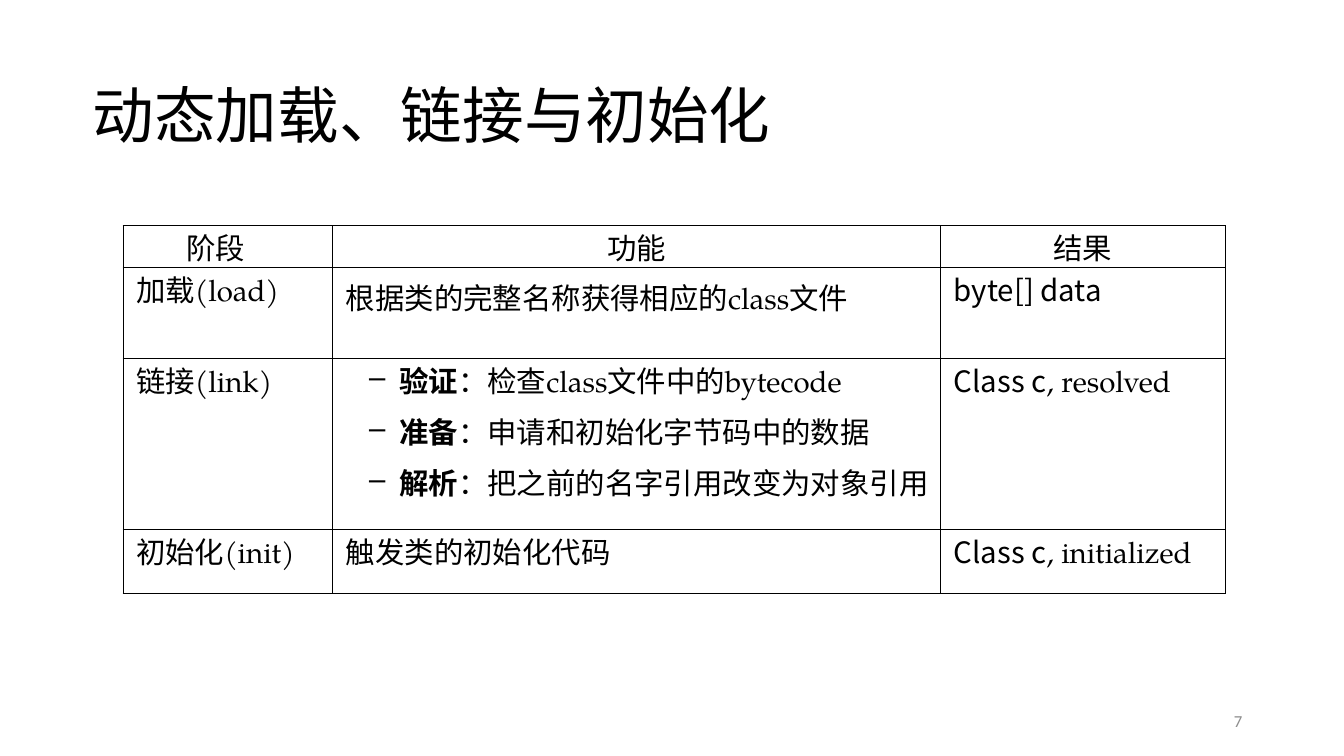
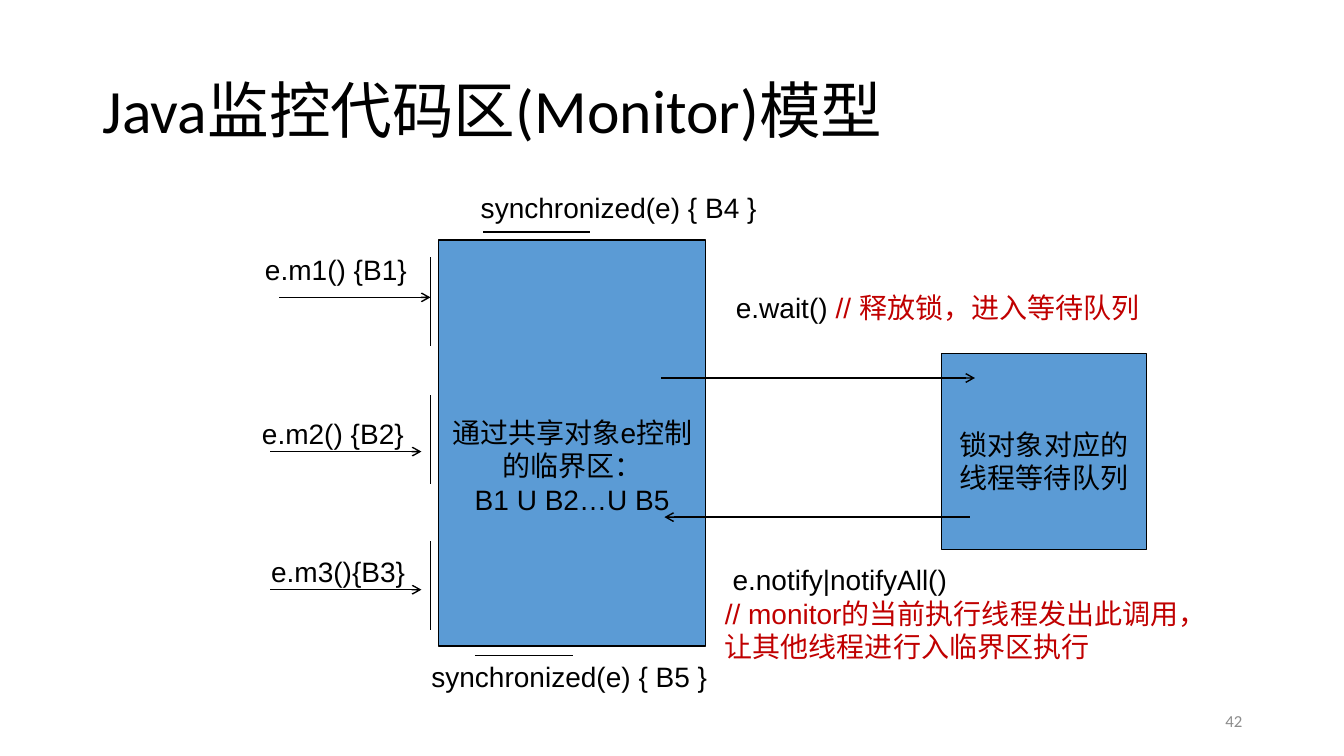
from dataclasses import dataclass

from lxml.etree import SubElement
from pptx import Presentation
from pptx.dml.color import RGBColor
from pptx.enum.shapes import MSO_CONNECTOR, MSO_SHAPE
from pptx.enum.text import MSO_ANCHOR, MSO_AUTO_SIZE, PP_ALIGN
from pptx.oxml.ns import qn
from pptx.presentation import Presentation as Deck
from pptx.slide import Slide
from pptx.table import _Cell as Cell
from pptx.text.text import TextFrame, _Paragraph as TextParagraph
from pptx.util import Inches, Pt


@dataclass(frozen=True)
class Theme:
    ink: RGBColor = RGBColor(0, 0, 0)
    accent: RGBColor = RGBColor(0xC0, 0, 0)
    muted: RGBColor = RGBColor(0x8C, 0x8C, 0x8C)
    box: RGBColor = RGBColor(0x5B, 0x9B, 0xD5)
    heading_font: str = "Calibri"
    diagram_font: str = "Arial"
    table_font: str = "TeX Gyre Pagella"
    code_font: str = "Noto Sans CJK JP"
    title_size: float = 44
    table_size: float = 21
    diagram_size: float = 20
    number_size: float = 12
    line_width: float = 1
    border_width: float = 0.7


THEME = Theme()


@dataclass(frozen=True)
class Span:
    """A stretch of text with one format."""
    text: str
    font: str = THEME.diagram_font
    size: float = THEME.diagram_size
    color: RGBColor = THEME.ink
    bold: bool = False
    east_asian: str = ""


@dataclass(frozen=True)
class Line:
    """One paragraph."""
    spans: tuple[Span, ...]
    align: PP_ALIGN = PP_ALIGN.LEFT
    indent: float = 0
    spacing: float = 1
    dash: bool = False


@dataclass(frozen=True)
class Area:
    left: float
    top: float
    width: float
    height: float

    def lengths(self) -> tuple[Inches, ...]:
        return tuple(Inches(value) for value in
                     (self.left, self.top, self.width, self.height))


@dataclass(frozen=True)
class Box:
    area: Area
    text_top: float
    texts: tuple[str, ...]


@dataclass(frozen=True)
class Label:
    area: Area
    lines: tuple[Line, ...]


@dataclass(frozen=True)
class Stroke:
    start: tuple[float, float]
    end: tuple[float, float]
    arrow: bool = False


@dataclass(frozen=True)
class Entry:
    """A method that enters the monitor: label, gate and arrow."""
    text: str
    left: float
    top: float
    gate_top: float
    arrow_left: float
    arrow_y: float


TITLE_AREA = Area(0.92, 0.4, 11.5, 1.45)
NUMBER_AREA = Area(9.42, 6.95, 3, 0.4)
TABLE_AREA = Area(1.22, 2.24, 10.93, 3.65)
COLUMN_WIDTHS = (2.08, 6.03, 2.82)
ROW_HEIGHTS = (0.41, 0.91, 1.69, 0.64)
CELL_INDENT = 0.13
BULLET_INDENT = 0.66
BULLET_HANG = 0.3
GATE_X = 4.27
GATE_LENGTH = 0.88
ARROW_LENGTH = 1.5
LABEL_HEIGHT = 0.45


# Text

def write_line(paragraph: TextParagraph, line: Line) -> None:
    paragraph.alignment = line.align
    paragraph.line_spacing = line.spacing
    properties = paragraph._p.get_or_add_pPr()
    properties.set("marL", str(Inches(line.indent)))
    properties.set("indent", str(-Inches(BULLET_HANG) if line.dash else 0))
    if line.dash:
        SubElement(properties, qn("a:buChar"), char="–")
    for span in line.spans:
        run = paragraph.add_run()
        run.text = span.text
        run.font.name = span.font
        run.font.size = Pt(span.size)
        run.font.bold = span.bold
        run.font.color.rgb = span.color
        if span.east_asian:
            SubElement(run._r.get_or_add_rPr(), qn("a:ea"), typeface=span.east_asian)


def write_lines(frame: TextFrame, lines: tuple[Line, ...]) -> None:
    for index, line in enumerate(lines):
        paragraph = frame.add_paragraph() if index else frame.paragraphs[0]
        write_line(paragraph, line)


def add_label(slide: Slide, label: Label) -> TextFrame:
    frame = slide.shapes.add_textbox(*label.area.lengths()).text_frame
    frame.word_wrap = True
    write_lines(frame, label.lines)
    return frame


# Shared slide parts

def add_titled_slide(presentation: Deck, title: str, number: int,
                     inset: float, spacing: float) -> Slide:
    slide = presentation.slides.add_slide(presentation.slide_layouts[5])
    shape = slide.shapes.title
    shape.left, shape.top, shape.width, shape.height = TITLE_AREA.lengths()
    frame = shape.text_frame
    frame.auto_size = MSO_AUTO_SIZE.NONE
    frame.vertical_anchor = MSO_ANCHOR.MIDDLE
    frame.margin_left = frame.margin_right = Inches(inset)
    frame.margin_top = frame.margin_bottom = Inches(inset / 2)
    heading = Span(title, THEME.heading_font, THEME.title_size)
    write_lines(frame, (Line((heading,), spacing=spacing),))

    page = Span(str(number), THEME.heading_font, THEME.number_size, THEME.muted)
    page_frame = add_label(slide, Label(NUMBER_AREA, (Line((page,), PP_ALIGN.RIGHT),)))
    page_frame.vertical_anchor = MSO_ANCHOR.MIDDLE
    return slide


# Table

def table_span(text: str, bold: bool = False, code: bool = False) -> Span:
    font = THEME.code_font if code else THEME.table_font
    return Span(text, font, THEME.table_size, bold=bold, east_asian=THEME.code_font)


def cell_line(*spans: Span, spacing: float = 1) -> tuple[Line, ...]:
    return (Line(spans, indent=CELL_INDENT, spacing=spacing),)


def centred(text: str) -> tuple[Line, ...]:
    return (Line((table_span(text),), PP_ALIGN.CENTER),)


def step(name: str, detail: str, spacing: float = 1.2) -> Line:
    return Line((table_span(name, bold=True), table_span(detail)),
                indent=BULLET_INDENT, spacing=spacing, dash=True)


def format_cell(cell: Cell) -> None:
    cell.margin_left = cell.margin_right = cell.margin_top = cell.margin_bottom = 0
    properties = cell._tc.get_or_add_tcPr()
    for side in ("a:lnL", "a:lnR", "a:lnT", "a:lnB"):
        border = SubElement(properties, qn(side), w=str(Pt(THEME.border_width)))
        fill = SubElement(border, qn("a:solidFill"))
        SubElement(fill, qn("a:srgbClr"), val=str(THEME.ink))
    cell.fill.background()


def build_loading_slide(presentation: Deck) -> None:
    slide = add_titled_slide(presentation, "动态加载、链接与初始化", 7, inset=0, spacing=1)
    class_c = table_span("Class c", code=True)
    rows = (
        ((Line((table_span("阶段"),), indent=0.63),), centred("功能"), centred("结果")),
        (cell_line(table_span("加载(load)")),
         cell_line(table_span("根据类的完整名称获得相应的class文件"), spacing=1.2),
         cell_line(table_span("byte[] data", code=True))),
        (cell_line(table_span("链接(link)")),
         (step("验证", "：检查class文件中的bytecode", spacing=1),
          step("准备", "：申请和初始化字节码中的数据"),
          step("解析", "：把之前的名字引用改变为对象引用")),
         cell_line(class_c, table_span(", resolved"))),
        (cell_line(table_span("初始化(init)")),
         cell_line(table_span("触发类的初始化代码")),
         cell_line(class_c, table_span(", initialized"))),
    )
    table = slide.shapes.add_table(len(rows), len(COLUMN_WIDTHS),
                                   *TABLE_AREA.lengths()).table
    table.first_row = table.horz_banding = False
    for column, width in zip(table.columns, COLUMN_WIDTHS):
        column.width = Inches(width)
    for table_row, height, contents in zip(table.rows, ROW_HEIGHTS, rows):
        table_row.height = Inches(height)
        for cell, lines in zip(table_row.cells, contents):
            format_cell(cell)
            write_lines(cell.text_frame, lines)


# Diagram

def add_box(slide: Slide, box: Box) -> None:
    shape = slide.shapes.add_shape(MSO_SHAPE.RECTANGLE, *box.area.lengths())
    shape.shadow.inherit = False
    shape.fill.solid()
    shape.fill.fore_color.rgb = THEME.box
    shape.line.color.rgb = THEME.ink
    shape.line.width = Pt(THEME.line_width)
    frame = shape.text_frame
    frame.word_wrap = True
    frame.vertical_anchor = MSO_ANCHOR.TOP
    frame.margin_top = Inches(box.text_top)
    write_lines(frame, tuple(Line((Span(text),), PP_ALIGN.CENTER) for text in box.texts))


def add_stroke(slide: Slide, stroke: Stroke) -> None:
    ends = (Inches(value) for value in stroke.start + stroke.end)
    connector = slide.shapes.add_connector(MSO_CONNECTOR.STRAIGHT, *ends)
    connector.line.color.rgb = THEME.ink
    connector.line.width = Pt(THEME.line_width)
    if stroke.arrow:
        SubElement(connector.line._get_or_add_ln(), qn("a:tailEnd"), type="arrow")
    SubElement(connector._element.spPr, qn("a:effectLst"))


def add_entry(slide: Slide, entry: Entry) -> None:
    area = Area(entry.left, entry.top, 1.83, LABEL_HEIGHT)
    add_label(slide, Label(area, (Line((Span(entry.text),)),)))
    add_stroke(slide, Stroke((GATE_X, entry.gate_top), (GATE_X, entry.gate_top + GATE_LENGTH)))
    add_stroke(slide, Stroke((entry.arrow_left, entry.arrow_y),
                             (entry.arrow_left + ARROW_LENGTH, entry.arrow_y), arrow=True))


def build_monitor_slide(presentation: Deck) -> None:
    slide = add_titled_slide(presentation, "Java监控代码区(Monitor)模型", 42,
                             inset=0.1, spacing=0.9)
    boxes = (
        Box(Area(4.35, 2.38, 2.65, 4.03), 1.74,
            ("通过共享对象e控制的临界区：", "B1 U B2…U B5")),
        Box(Area(9.34, 3.51, 2.03, 1.94), 0.73, ("锁对象对应的线程等待队列",)),
    )
    entries = (
        Entry("e.m1() {B1}", 2.53, 2.46, 2.55, 2.77, 2.95),
        Entry("e.m2() {B2}", 2.5, 4.08, 3.92, 2.68, 4.48),
        Entry("e.m3(){B3}", 2.59, 5.45, 5.37, 2.68, 5.85),
    )
    strokes = (
        Stroke((5.85, 2.3), (4.79, 2.3)),
        Stroke((4.71, 6.5), (5.68, 6.5)),
        Stroke((6.56, 3.75), (9.67, 3.75), arrow=True),
        Stroke((9.62, 5.13), (6.59, 5.13), arrow=True),
    )
    labels = (
        Label(Area(4.67, 1.84, 3.34, LABEL_HEIGHT), (Line((Span("synchronized(e) { B4 }"),)),)),
        Label(Area(4.18, 6.49, 3.34, LABEL_HEIGHT), (Line((Span("synchronized(e) { B5 }"),)),)),
        Label(Area(7.2, 2.83, 4.7, LABEL_HEIGHT),
              (Line((Span("e.wait() "),
                     Span("// 释放锁，进入等待队列", color=THEME.accent))),)),
        Label(Area(7.09, 5.53, 4.7, 1.11),
              (Line((Span(" e.notify|notifyAll()"),)),
               Line((Span("// monitor的当前执行线程发出此调用，让其他线程进行入临界区执行",
                          color=THEME.accent),)))),
    )
    for box in boxes:
        add_box(slide, box)
    for entry in entries:
        add_entry(slide, entry)
    for stroke in strokes:
        add_stroke(slide, stroke)
    for label in labels:
        add_label(slide, label)


def main() -> None:
    presentation = Presentation()
    presentation.slide_width = Inches(13.33)
    presentation.slide_height = Inches(7.5)
    build_loading_slide(presentation)
    build_monitor_slide(presentation)
    presentation.save("out.pptx")


if __name__ == "__main__":
    main()
